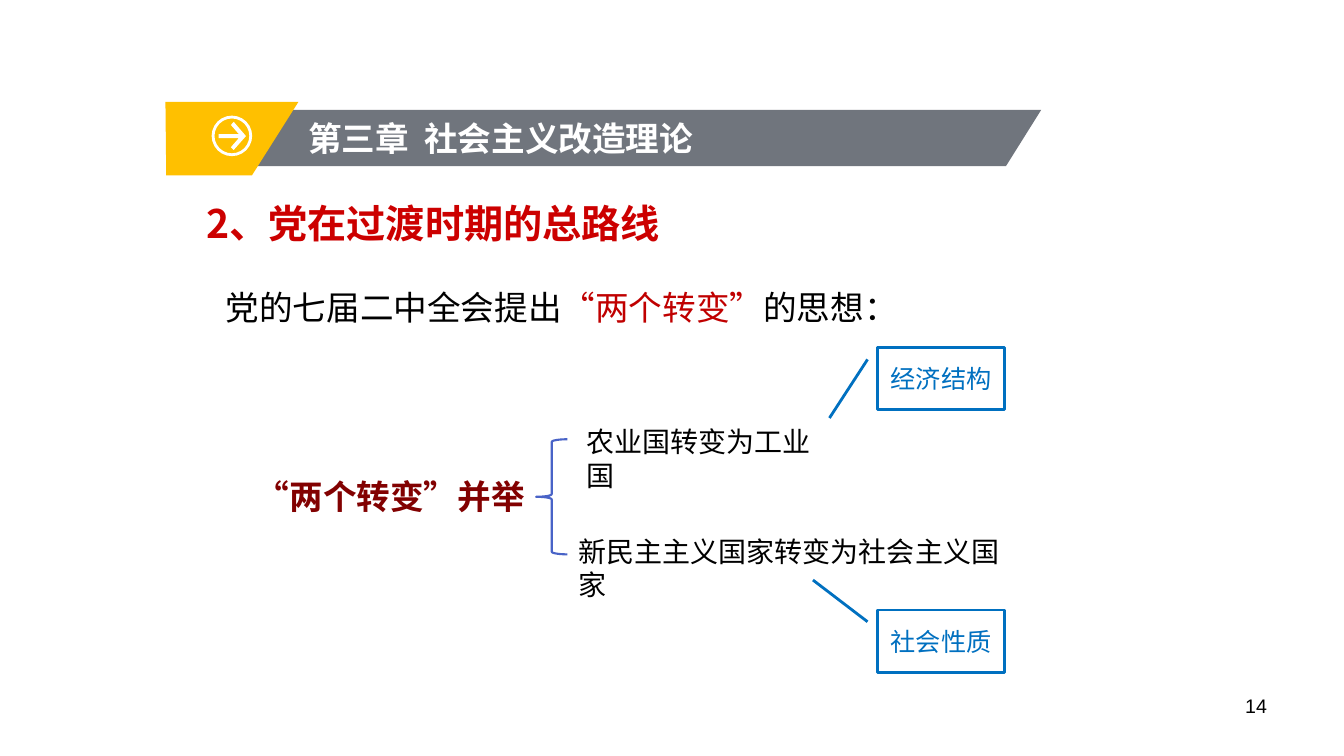
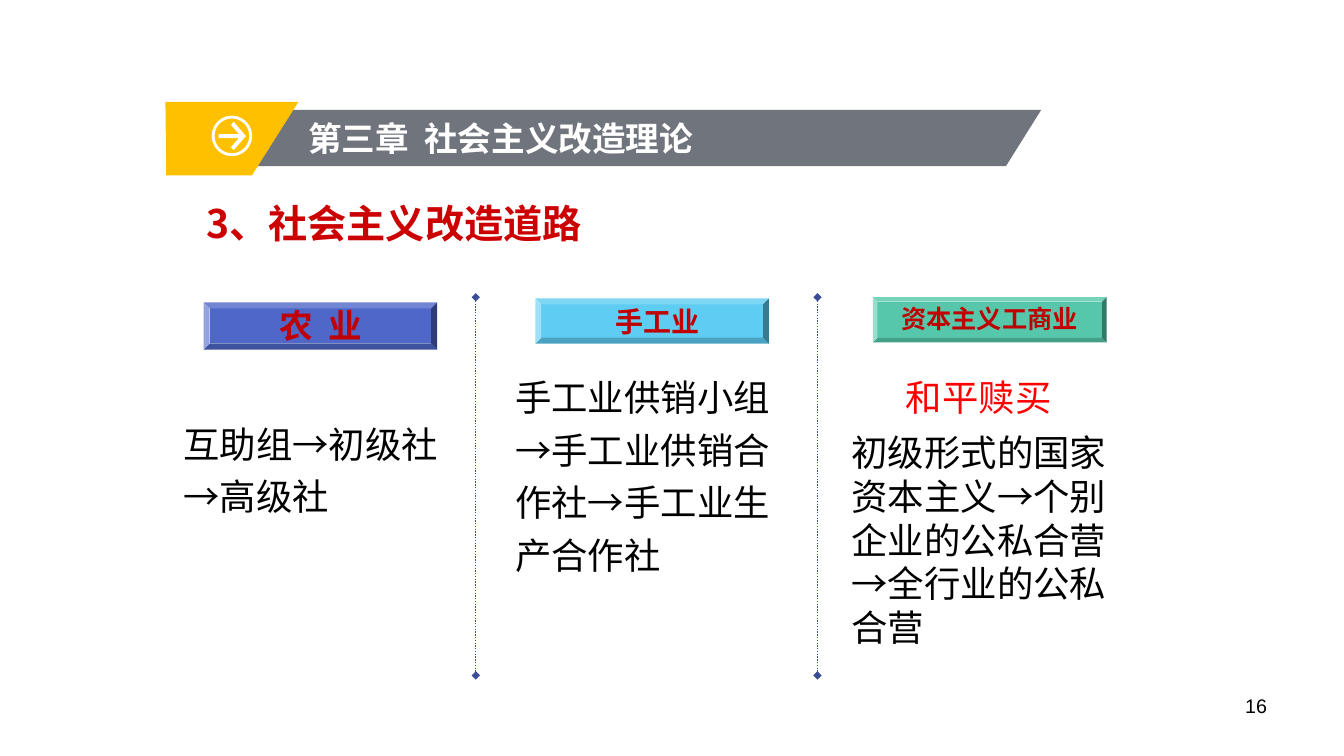
from lxml.etree import SubElement
from pptx import Presentation
from pptx.dml.color import RGBColor
from pptx.enum.dml import MSO_LINE
from pptx.enum.lang import MSO_LANGUAGE_ID as Lang
from pptx.enum.shapes import MSO_CONNECTOR, MSO_SHAPE as Shape
from pptx.enum.text import MSO_ANCHOR as Anchor, PP_ALIGN as Align
from pptx.oxml.ns import qn
from pptx.util import Cm, Pt

BLACK = RGBColor(0x00, 0x00, 0x00)
WHITE = RGBColor(0xFF, 0xFF, 0xFF)
GRAY = RGBColor(0x70, 0x75, 0x7D)
AMBER = RGBColor(0xFF, 0xC0, 0x00)
TITLE_RED = RGBColor(0xCC, 0x00, 0x00)
DEEP_RED = RGBColor(0xC0, 0x00, 0x00)
BRIGHT_RED = RGBColor(0xFF, 0x00, 0x00)
MAROON = RGBColor(0x82, 0x01, 0x01)
CALLOUT_BLUE = RGBColor(0x00, 0x70, 0xC0)
BRACE_BLUE = RGBColor(0x49, 0x63, 0xC7)
DIVIDER_BLUE = RGBColor(0x3A, 0x4C, 0x94)
INDIGO = RGBColor(0x4E, 0x67, 0xC8)
SKY = RGBColor(0x5E, 0xCC, 0xF3)
GREEN = RGBColor(0x56, 0xC7, 0xAA)

CJK_FONT = "Noto Sans CJK SC"
LATIN_FONT = "Arial"
CHAPTER = "第三章  社会主义改造理论"

BAR = [(4.37, 2.77), (26.24, 2.77), (25.35, 4.19), (4.37, 4.19)]
BADGE = [(4.17, 2.57), (7.52, 2.57), (6.35, 4.42), (4.19, 4.42)]
ARROW = [(5.89, 3.78), (5.82, 3.71), (6.02, 3.48), (5.51, 3.48), (5.51, 3.38),
         (6.02, 3.38), (5.82, 3.15), (5.89, 3.07), (6.2, 3.43)]


class Deck:
    """Holds the house style and the slide being filled; lengths are in cm."""

    def __init__(self):
        self.prs = Presentation()
        self.prs.slide_width, self.prs.slide_height = Cm(33.87), Cm(19.05)
        self.shapes = None

    def start_slide(self, title, number):
        slide = self.prs.slides.add_slide(self.prs.slide_layouts[6])
        self.shapes = slide.shapes
        self.text((24.28, 17.35, 7.9, 1.32), number, 14, align=Align.RIGHT,
                  font=LATIN_FONT)
        self.polygon(BAR, GRAY)
        self.polygon(BADGE, AMBER)
        self.text((7.52, 2.84, 10.36, 1.27), CHAPTER, 24, WHITE, bold=True)
        self.preset(Shape.OVAL, (5.37, 2.95, 0.95, 0.95), line=(WHITE, 2))
        self.polygon(ARROW, WHITE)
        self.text((4.95, 4.67, 20.07, 1.3), title, 28, TITLE_RED, bold=True,
                  spacing=1.5, anchor=Anchor.MIDDLE)

    def format_run(self, run, size, color, bold, font):
        run.font.size, run.font.bold, run.font.name = Pt(size), bold, font
        run.font.color.rgb = color
        run.font.language_id = Lang.SIMPLIFIED_CHINESE
        SubElement(run._r.get_or_add_rPr(), qn("a:ea"), typeface=CJK_FONT)

    def text(self, box, content, size, color=BLACK, bold=False,
             align=Align.LEFT, spacing=None, anchor=Anchor.TOP, font=CJK_FONT):
        """Add a text box; content is a string or a list of (text, color)."""
        frame = self.shapes.add_textbox(*map(Cm, box)).text_frame
        frame.word_wrap, frame.vertical_anchor = True, anchor
        paragraph = frame.paragraphs[0]
        paragraph.alignment = align
        if spacing:
            paragraph.line_spacing = spacing
        pieces = [(content, color)] if isinstance(content, str) else content
        for words, ink in pieces:
            run = paragraph.add_run()
            run.text = words
            self.format_run(run, size, ink, bold, font)

    def paint(self, shape, fill=None, line=None):
        shape.shadow.inherit = False
        if fill is None:
            shape.fill.background()
        else:
            shape.fill.solid()
            shape.fill.fore_color.rgb = fill
        if line is None:
            shape.line.fill.background()
        else:
            shape.line.color.rgb, shape.line.width = line[0], Pt(line[1])

    def preset(self, kind, box, fill=None, line=None, adjustments=()):
        shape = self.shapes.add_shape(kind, *map(Cm, box))
        self.paint(shape, fill, line)
        for index, value in enumerate(adjustments):
            shape.adjustments[index] = value
        return shape

    def polygon(self, points, fill):
        start, *rest = [(Cm(x), Cm(y)) for x, y in points]
        builder = self.shapes.build_freeform(*start)
        builder.add_line_segments(rest, close=True)
        self.paint(builder.convert_to_shape(), fill)

    def callout(self, top, label, leader):
        shape = self.preset(Shape.LINE_CALLOUT_1, (22.12, top, 3.2, 1.57),
                            WHITE, (CALLOUT_BLUE, 2), leader)
        frame = shape.text_frame
        frame.text = label
        frame.word_wrap, frame.vertical_anchor = True, Anchor.MIDDLE
        paragraph = frame.paragraphs[0]
        paragraph.alignment = Align.CENTER
        self.format_run(paragraph.runs[0], 18, CALLOUT_BLUE, False, LATIN_FONT)

    def heading(self, plate, color, bevel, box, label, size):
        """Add a bevelled plate with its column heading."""
        self.preset(Shape.BEVEL, plate, color, adjustments=[bevel])
        self.text(box, label, size, DEEP_RED, bold=True, align=Align.CENTER)

    def divider(self, x):
        rule = self.shapes.add_connector(MSO_CONNECTOR.STRAIGHT, Cm(x),
                                         Cm(7.49), Cm(x), Cm(17.02))
        rule.line.color.rgb, rule.line.width = DIVIDER_BLUE, Pt(1)
        rule.line.dash_style = MSO_LINE.ROUND_DOT
        outline = rule.line._get_or_add_ln()
        for end in ("a:headEnd", "a:tailEnd"):
            SubElement(outline, qn(end), type="diamond")
        SubElement(rule._element.spPr, qn("a:effectLst"))


def two_changes(deck):
    deck.start_slide("2、党在过渡时期的总路线", "14")
    deck.text((5.44, 7.11, 23.01, 1.27),
              [("党的七届二中全会提出", BLACK), ("“两个转变”", DEEP_RED),
               ("的思想：", BLACK)], 24)
    deck.text((6.2, 11.86, 7.4, 1.27), "“两个转变”并举", 24, MAROON, bold=True)
    deck.preset(Shape.LEFT_BRACE, (13.51, 11.07, 0.79, 2.9),
                line=(BRACE_BLUE, 1.5))
    deck.text((14.53, 10.57, 6.8, 1.12), "农业国转变为工业国", 20)
    deck.text((14.33, 13.34, 11.75, 1.12), "新民主主义国家转变为社会主义国家", 20)
    deck.callout(8.76, "经济结构", (0.19, -0.08, 1.13, -0.38))
    deck.callout(15.37, "社会性质", (0.19, -0.08, -0.48, -0.51))


def three_roads(deck):
    deck.start_slide("3、社会主义改造道路", "16")
    deck.heading((13.49, 7.52, 5.89, 1.14), SKY, 0.13,
                 (13.94, 7.54, 5.26, 1.12), "手工业", 20)
    deck.heading((5.13, 7.62, 5.89, 1.19), INDIGO, 0.13,
                 (5.36, 7.57, 5.46, 1.27), "农  业", 24)
    deck.heading((22, 7.49, 5.89, 1.14), GREEN, 0.1,
                 (22.28, 7.52, 5.31, 1.02), "资本主义工商业", 18)
    deck.text((4.37, 10.29, 7.21, 2.74), "互助组→初级社→高级社", 26, spacing=1.2)
    deck.text((12.73, 9.12, 7.47, 5.59),
              "手工业供销小组→手工业供销合作社→手工业生产合作社", 26, spacing=1.2)
    deck.text((21.21, 10.72, 7.47, 5.82),
              "初级形式的国家资本主义→个别企业的公私合营→全行业的公私合营", 26)
    deck.text((22.58, 9.12, 4.72, 1.42), "和平赎买", 26, BRIGHT_RED, spacing=1.2)
    for x in (11.99, 20.6):
        deck.divider(x)


def main():
    deck = Deck()
    two_changes(deck)
    three_roads(deck)
    deck.prs.save("out.pptx")


if __name__ == "__main__":
    main()
